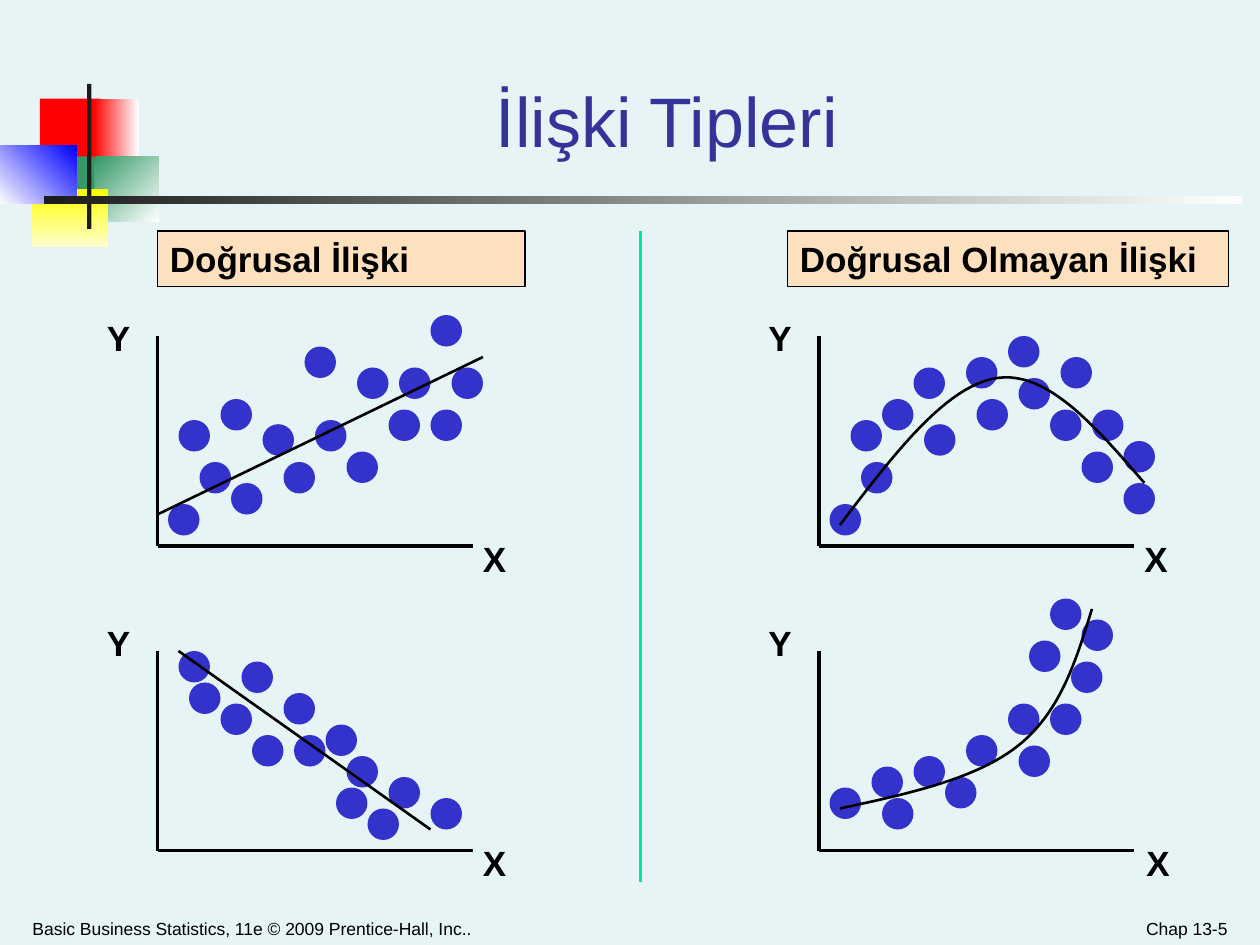
from lxml.etree import SubElement
from pptx import Presentation
from pptx.dml.color import RGBColor
from pptx.enum.shapes import MSO_CONNECTOR as Connector, MSO_SHAPE as Shape
from pptx.enum.text import MSO_ANCHOR as Anchor, MSO_AUTO_SIZE as AutoSize, PP_ALIGN as Align
from pptx.oxml.ns import qn
from pptx.util import Emu, Pt

SCALE = 7620
FONT = "Arial"
DOT_SIZE = 30
CURVE_STEPS = 24
COLORS = {
    "background": "E7F4F5", "title": "333399", "text": "000000", "line": "000000",
    "dot": "3333CC", "heading": "FDE0BD", "divider": "00E4A8", "red": "FF0000",
    "green": "339966", "yellow": "FFFF00", "cream": "FFFFCC", "blue": "0000FF",
    "dark": "1C1C1C", "white": "FFFFFF",
}
DECORATION = [
    ((38, 94, 58, 62), ("red",), 0),
    ((89, 94, 43, 62), ("red", "white"), 0),
    ((90, 149, 61, 62), ("green", "white"), 45),
    ((52, 149, 38, 62), ("green",), 0),
    ((30, 180, 73, 55), ("yellow", "cream"), 90),
    ((0, 139, 73, 55), ("white", "blue"), 315),
    ((83, 80, 4, 138), ("dark",), 0),
    ((42, 187, 1141, 7), ("dark", "white"), 0),
]
PLOTS = [
    {"origin": (150, 810), "height": 190, "x_label": 298, "dots": [
        (350, 770), (180, 650), (410, 760), (230, 630), (330, 720), (370, 740), (270, 660),
        (170, 620), (210, 670), (240, 700), (320, 750), (310, 690), (280, 700)]},
    {"origin": (150, 520), "height": 200, "x_label": 298, "dots": [
        (160, 480), (190, 440), (410, 300), (430, 350), (220, 460), (380, 350), (330, 430),
        (340, 350), (290, 330), (170, 400), (210, 380), (250, 404), (370, 390), (300, 400),
        (270, 440), (410, 390)]},
    {"origin": (780, 810), "height": 190, "x_label": 300, "dots": [
        (790, 750), (830, 730), (1030, 590), (1020, 630), (840, 760), (980, 610), (970, 710),
        (960, 670), (1000, 570), (870, 720), (1000, 670), (920, 700), (900, 740)]},
    {"origin": (780, 520), "height": 200, "x_label": 298, "dots": [
        (790, 480), (820, 440), (1070, 420), (1010, 340), (870, 350), (1070, 460), (1030, 430),
        (970, 360), (920, 340), (810, 400), (840, 380), (880, 404), (1000, 390), (930, 380),
        (960, 320), (1040, 390)]},
]
TREND_LINES = [((150, 490), (460, 340)), ((170, 620), (410, 790))]
TREND_CURVES = [
    [(800, 500), (851, 433), (901, 367), (950, 360), (998, 353), (1044, 407), (1090, 460)],
    [(800, 770), (865, 756), (930, 742), (970, 710), (1010, 678), (1025, 629), (1040, 580)],
]


def px(*lengths):
    """Turn pixel lengths into a list of EMU lengths."""
    return [Emu(round(length * SCALE)) for length in lengths]


def color(name):
    """Look up a named colour."""
    return RGBColor.from_string(COLORS[name])


def format_text(shape, text, size, color_name="text", bold=False, align=Align.LEFT,
                anchor=Anchor.TOP, wrap=True, inset=12, auto_size=AutoSize.NONE):
    """Fill a shape with one formatted paragraph."""
    frame = shape.text_frame
    frame.text = text
    frame.word_wrap = wrap
    frame.auto_size = auto_size
    frame.vertical_anchor = anchor
    frame.margin_left, frame.margin_right, frame.margin_top, frame.margin_bottom = px(
        inset, inset, 6, 6)
    paragraph = frame.paragraphs[0]
    paragraph.alignment = align
    font = paragraph.runs[0].font
    font.name, font.size, font.bold = FONT, Pt(size), bold
    font.color.rgb = color(color_name)


def add_text(slide, box, text, size, **options):
    """Add a text box with one paragraph."""
    format_text(slide.shapes.add_textbox(*px(*box)), text, size, **options)


def add_filled(slide, kind, box, fills, angle=0):
    """Add a borderless shape with a solid or two-colour gradient fill."""
    shape = slide.shapes.add_shape(kind, *px(*box))
    shape.shadow.inherit = False
    shape.line.fill.background()
    if len(fills) == 1:
        shape.fill.solid()
        shape.fill.fore_color.rgb = color(fills[0])
    else:
        shape.fill.gradient()
        shape.fill.gradient_angle = (360 - angle) % 360
        for stop, name in zip(shape.fill.gradient_stops, fills):
            stop.color.rgb = color(name)
    return shape


def add_line(slide, start, end, width, color_name="line"):
    """Add a straight line without a shadow."""
    line = slide.shapes.add_connector(Connector.STRAIGHT, *px(*start, *end))
    line.line.width = Pt(width)
    line.line.color.rgb = color(color_name)
    SubElement(line._element.spPr, qn("a:effectLst"))


def bezier_points(controls):
    """Sample a chain of cubic Bezier segments."""
    points = [controls[0]]
    for first in range(0, len(controls) - 1, 3):
        segment = controls[first:first + 4]
        for step in range(1, CURVE_STEPS + 1):
            t = step / CURVE_STEPS
            weights = ((1 - t) ** 3, 3 * t * (1 - t) ** 2, 3 * t * t * (1 - t), t ** 3)
            points.append(tuple(sum(weight * point[axis] for weight, point in zip(weights, segment))
                                for axis in (0, 1)))
    return points


def add_curve(slide, controls, width):
    """Add an open smooth curve."""
    start, *others = [px(*point) for point in bezier_points(controls)]
    builder = slide.shapes.build_freeform(*start)
    builder.add_line_segments(others, close=False)
    curve = builder.convert_to_shape()
    curve.shadow.inherit = False
    curve.fill.background()
    curve.line.width = Pt(width)
    curve.line.color.rgb = color("line")


def add_plot(slide, origin, height, x_label, dots):
    """Add a scatter sketch with its axes and axis letters."""
    left, bottom = origin
    add_line(slide, (left, bottom - height), origin, 2)
    add_line(slide, origin, (left + 300, bottom), 2)
    for dot in dots:
        add_filled(slide, Shape.OVAL, (*dot, DOT_SIZE, DOT_SIZE), ("dot",))
    for text, x, y in (("Y", left - 60, bottom - 224), ("X", left + x_label, bottom - 14)):
        add_text(slide, (x, y, 46, 53), text, 20, bold=True, wrap=False,
                 auto_size=AutoSize.SHAPE_TO_FIT_TEXT)


def add_heading(slide, left, width, text):
    """Add a bordered column heading."""
    shape = add_filled(slide, Shape.RECTANGLE, (left, 220, width, 53), ("heading",))
    shape.line.width = Pt(1)
    shape.line.color.rgb = color("line")
    format_text(shape, text, 20, bold=True, auto_size=AutoSize.SHAPE_TO_FIT_TEXT)


def set_title(slide, text):
    """Place and format the title placeholder."""
    title = slide.shapes.title
    title.left, title.top, title.width, title.height = px(151, 30, 968, 130)
    format_text(title, text, 40, "title", align=Align.CENTER, anchor=Anchor.BOTTOM, inset=11)


def main():
    """Build and save the slide."""
    presentation = Presentation()
    presentation.slide_width, presentation.slide_height = px(1200, 900)
    slide = presentation.slides.add_slide(presentation.slide_layouts[5])
    slide.background.fill.solid()
    slide.background.fill.fore_color.rgb = color("background")
    for box, fills, angle in DECORATION:
        add_filled(slide, Shape.RECTANGLE, box, fills, angle)
    add_text(slide, (20, 858, 610, 42),
             "Basic Business Statistics, 11e © 2009 Prentice-Hall, Inc..", 10,
             anchor=Anchor.BOTTOM, inset=11)
    add_text(slide, (900, 858, 280, 42), "Chap 13-5", 10,
             align=Align.RIGHT, anchor=Anchor.BOTTOM, inset=11)
    set_title(slide, "İlişki Tipleri")
    for plot in PLOTS:
        add_plot(slide, **plot)
    add_heading(slide, 150, 350, "Doğrusal İlişki")
    add_heading(slide, 750, 420, "Doğrusal Olmayan İlişki")
    add_line(slide, (610, 220), (610, 840), 2.25, "divider")
    for start, end in TREND_LINES:
        add_line(slide, start, end, 1.5)
    for controls in TREND_CURVES:
        add_curve(slide, controls, 1.5)
    presentation.save("out.pptx")


if __name__ == "__main__":
    main()
